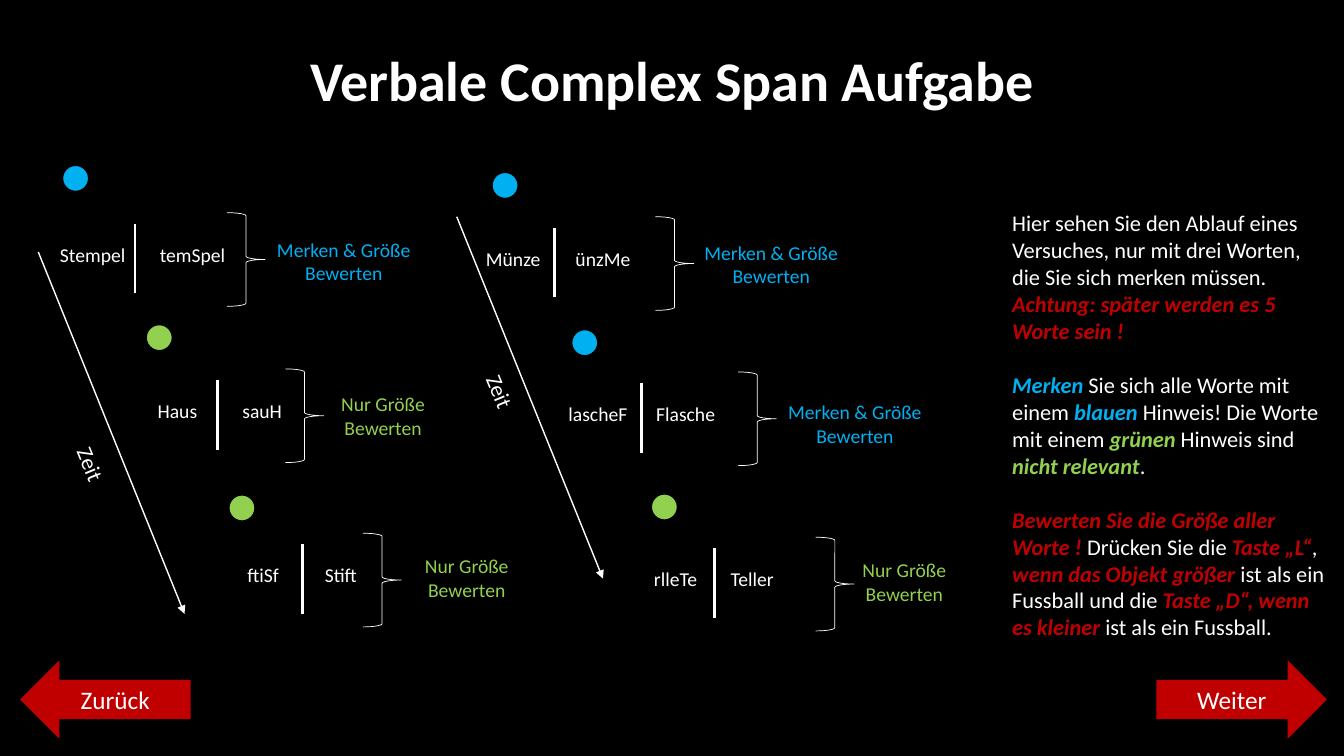
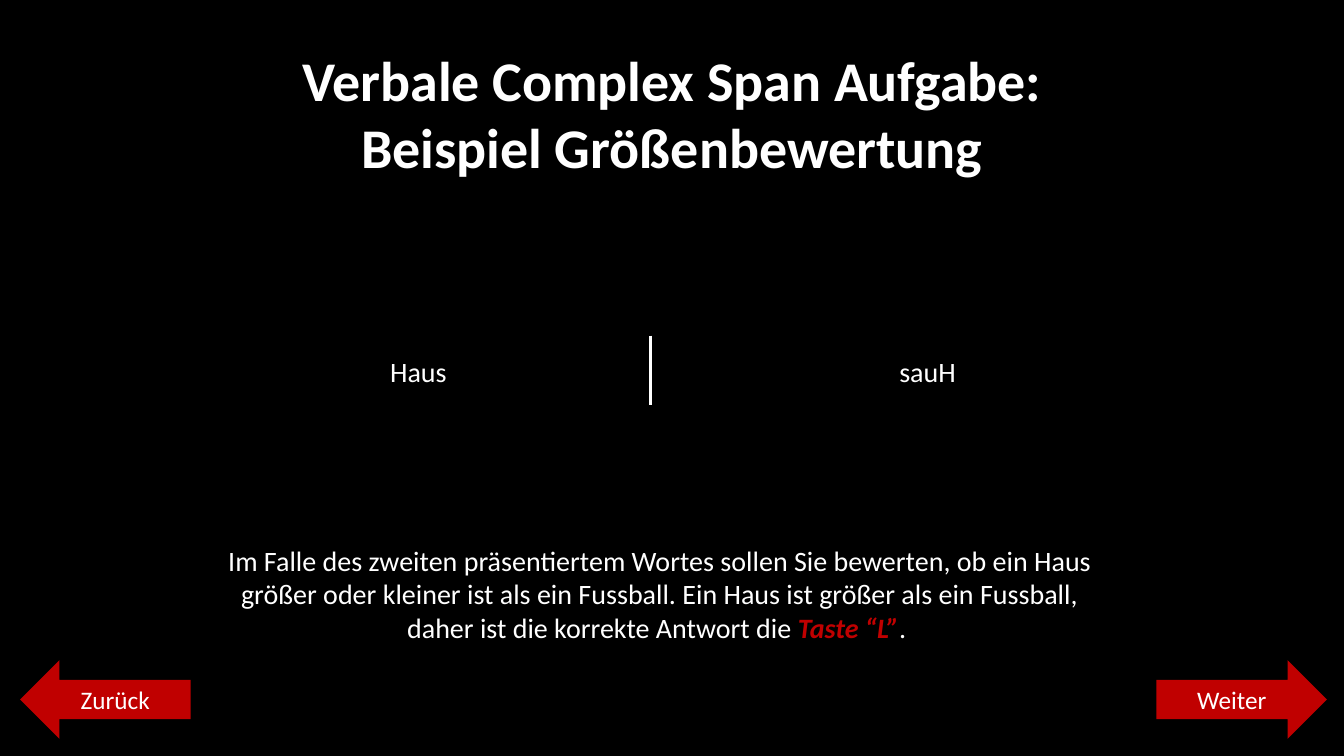
from lxml import etree
from pptx import Presentation
from pptx.dml.color import RGBColor
from pptx.enum import shapes as kinds, text as txt
from pptx.oxml import ns
from pptx.util import Inches, Pt

BLACK = RGBColor(0x00, 0x00, 0x00)
WHITE = RGBColor(0xFF, 0xFF, 0xFF)
RED = RGBColor(0xC0, 0x00, 0x00)
BLUE = RGBColor(0x01, 0xB0, 0xF1)
GREEN = RGBColor(0x92, 0xD1, 0x4F)
LIME = RGBColor(0x92, 0xD0, 0x50)

FONT = "Calibri"
WIDE, HIGH = 13.33, 7.5
SHAPE = kinds.MSO_SHAPE
CENTER, LEFT = txt.PP_ALIGN.CENTER, txt.PP_ALIGN.LEFT

# A hint is its colour and its wording
KEEP = (BLUE, "Merken & Größe Bewerten")
RATE = (GREEN, "Nur Größe Bewerten")

# Bar x, y; left word, right word, their centres from the bar;
# dot centre, brace left, hint centre x and top from the bar; hint
TRIALS = [
    (1.34, 2.22, "Stempel", "temSpel", -0.42, 0.57, -0.59, -0.45, 0.91, 2.07, 0.09, KEEP),
    (2.16, 3.77, "Haus", "sauH", -0.4, 0.44, -0.58, -0.42, 0.67, 1.64, 0.07, RATE),
    (3.0, 5.4, "ftiSf", "Stift", -0.39, 0.38, -0.6, -0.36, 0.6, 1.63, 0.05, RATE),
    (5.5, 2.26, "Münze", "ünzMe", -0.41, 0.48, -0.49, -0.42, 1.0, 2.15, 0.08, KEEP),
    (6.36, 3.8, "lascheF", "Flasche", -0.43, 0.44, -0.56, -0.4, 0.96, 2.12, 0.12, KEEP),
    (7.09, 5.44, "rlleTe", "Teller", -0.39, 0.37, -0.5, -0.41, 1.0, 1.88, 0.05, RATE),
]

# Time arrows: start x, y, then centre of the label
TIMES = [(0.38, 2.5, 0.9, 4.6), (4.53, 2.15, 4.96, 3.88)]

# Paragraphs of runs; a run with a colour is bold italic
GUIDE = [
    [("Hier sehen Sie den Ablauf eines Versuches, nur mit drei Worten, "
      "die Sie sich merken müssen. ", None),
     ("Achtung: später werden es 5 Worte sein !", RED)],
    [("Merken", BLUE), (" Sie sich alle Worte mit einem ", None),
     ("blauen ", BLUE), ("Hinweis! Die Worte mit einem ", None),
     ("grünen ", GREEN), ("Hinweis sind ", None),
     ("nicht relevant", LIME), (".", None)],
    [("Bewerten Sie die Größe aller Worte ! ", RED),
     ("Drücken Sie die ", None), ("Taste „L“", RED), (", ", None),
     ("wenn das Objekt größer ", RED),
     ("ist als ein Fussball und die ", None),
     ("Taste „D“, wenn es kleiner ", RED),
     ("ist als ein Fussball.", None)],
]
ANSWER = [
    [("Im Falle des zweiten präsentiertem Wortes sollen Sie bewerten, ob "
      "ein Haus größer oder kleiner ist als ein Fussball. Ein Haus ist "
      "größer als ein Fussball, daher ist die korrekte Antwort die ", None),
     ("Taste “L”", RED), (". ", None)],
]


def style(run, color=WHITE, **form):
    for key, val in {"name": FONT, **form}.items():
        setattr(run.font, key, val)
    run.font.color.rgb = color


def write(parts, box, paras, size, align=CENTER, gap=0, wrap=True):
    """Text box holding paragraphs of (text, accent colour) runs."""
    item = parts.add_textbox(*map(Inches, box))
    frame = item.text_frame
    frame.word_wrap = wrap
    for num, runs in enumerate(paras):
        para = frame.add_paragraph() if num else frame.paragraphs[0]
        para.alignment = align
        if num and gap:
            para.space_before = Pt(gap)
        for words, accent in runs:
            run = para.add_run()
            run.text = words
            mark = accent is not None
            style(run, accent or WHITE, size=Pt(size), bold=mark, italic=mark)
    return item


def label(parts, mid, top, wide, high, words, size, color=WHITE):
    """One plain text centred on mid."""
    item = write(parts, (mid - wide / 2, top, wide, high),
                 [[(words, None)]], size)
    item.text_frame.paragraphs[0].runs[0].font.color.rgb = color
    return item


def line(parts, start, end, width, arrow=False):
    item = parts.add_connector(kinds.MSO_CONNECTOR.STRAIGHT,
                               *map(Inches, (*start, *end)))
    item.line.color.rgb = WHITE
    item.line.width = Pt(width)
    if arrow:
        tip = etree.SubElement(item.line._get_or_add_ln(), ns.qn("a:tailEnd"))
        tip.set("type", "triangle")
    etree.SubElement(item._element.spPr, ns.qn("a:effectLst"))


def shape(parts, kind, box, fill=None, edge=None, width=1):
    item = parts.add_shape(kind, *map(Inches, box))
    item.shadow.inherit = False
    if fill is None:
        item.fill.background()
    else:
        item.fill.solid()
        item.fill.fore_color.rgb = fill
    if edge is None:
        item.line.fill.background()
    else:
        item.line.color.rgb = edge
        item.line.width = Pt(width)
    return item


def button(parts, kind, left, words):
    item = shape(parts, kind, (left, 6.55, 1.69, 0.78), RED)
    frame = item.text_frame
    frame.vertical_anchor = txt.MSO_ANCHOR.MIDDLE
    para = frame.paragraphs[0]
    para.alignment = CENTER
    run = para.add_run()
    run.text = words
    style(run, size=Pt(18))


def base(deck, title):
    """Black slide with its title and both buttons."""
    slide = deck.slides.add_slide(deck.slide_layouts[6])
    slide.background.fill.solid()
    slide.background.fill.fore_color.rgb = BLACK
    parts = slide.shapes
    wide = 7.74
    head = write(parts, ((WIDE - wide) / 2, 0.4, wide, 0.1 + 0.67 * len(title)),
                 [[(row, None)] for row in title], 40, wrap=False)
    for para in head.text_frame.paragraphs:
        para.runs[0].font.bold = True
    button(parts, SHAPE.RIGHT_ARROW, 11.47, "Weiter")
    button(parts, SHAPE.LEFT_ARROW, 0.2, "Zurück")
    return parts


def pair(parts, x, y, words, mids, wide, high, size):
    """Two words beside a bar whose top is at x, y."""
    group = parts.add_group_shape().shapes
    line(group, (x, y), (x, y + 0.69), 2)
    for word, mid in zip(words, mids):
        label(group, x + mid, y + 0.14, wide, high, word, size)


def trial(parts, x, y, first, second, near, far, dotx, doty, brace, hintx,
          hinty, hint):
    """Dot, word pair, brace and hint, placed from the bar."""
    color, words = hint
    dot = 0.26
    shape(parts, SHAPE.OVAL, (x + dotx - dot / 2, y + doty - dot / 2, dot, dot),
          color, BLACK)
    pair(parts, x, y, (first, second), (near, far), 0.92, 0.34, 14)
    shape(parts, SHAPE.RIGHT_BRACE, (x + brace, y - 0.11, 0.38, 0.93),
          edge=WHITE, width=0.5)
    label(parts, x + hintx, y + hinty, 1.67, 0.57, words, 14, color)


def time(parts, x, y, mid, level):
    """Slanted time arrow with its label."""
    line(parts, (x, y), (x + 1.45, y + 3.59), 1, arrow=True)
    label(parts, mid, level - 0.18, 1.25, 0.37, "Zeit", 16).rotation = 67.5


def course(deck):
    parts = base(deck, ["Verbale Complex Span Aufgabe"])
    for row in TIMES:
        time(parts, *row)
    for row in TRIALS:
        trial(parts, *row)
    write(parts, (9.94, 2.03, 3.31, 4.71), GUIDE, 16, LEFT, gap=19.5)


def sample(deck):
    parts = base(deck, ["Verbale Complex Span Aufgabe:",
                        "Beispiel Größenbewertung"])
    pair(parts, 6.45, 3.33, ("Haus", "sauH"), (-2.3, 2.75), 4, 0.44, 20)
    write(parts, (2.06, 5.34, 8.97, 1.1), ANSWER, 20)


def main():
    deck = Presentation()
    deck.slide_width, deck.slide_height = Inches(WIDE), Inches(HIGH)
    course(deck)
    sample(deck)
    deck.save("out.pptx")


if __name__ == "__main__":
    main()
